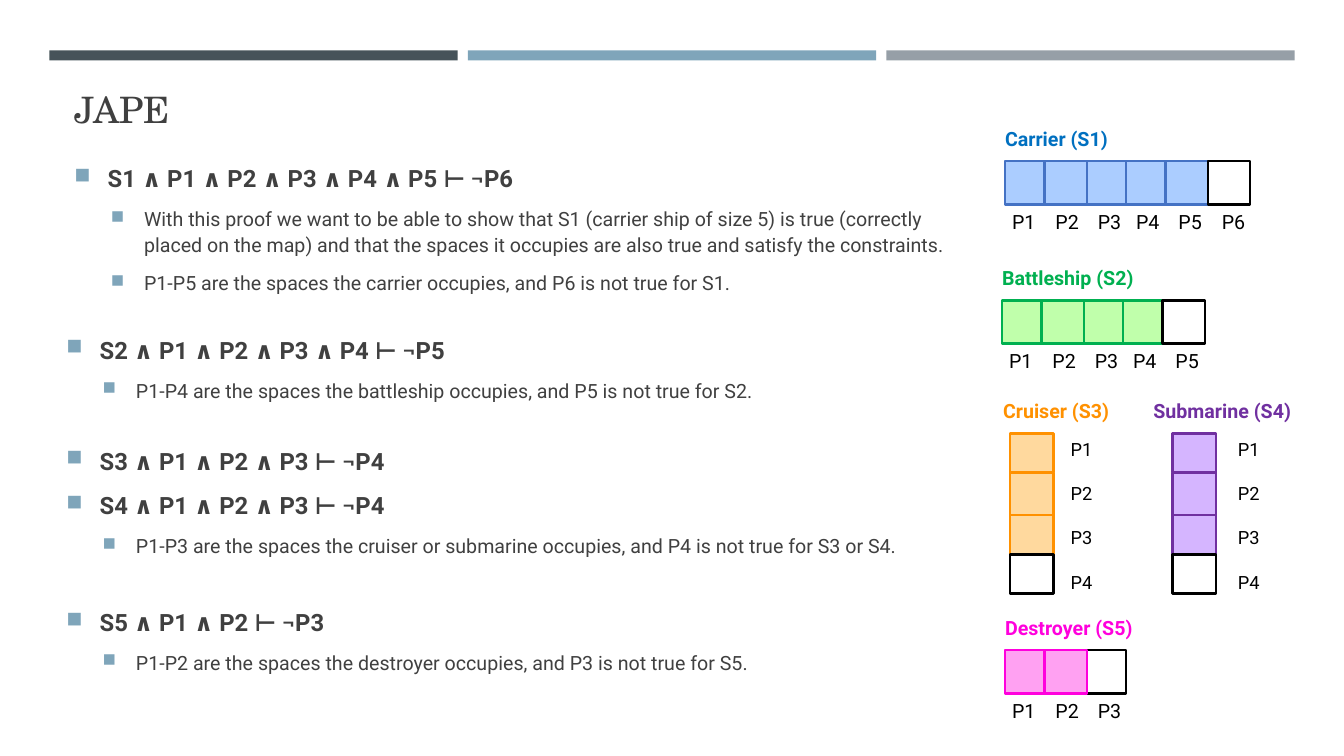
from lxml import etree
from pptx import Presentation
from pptx.dml.color import RGBColor
from pptx.enum import shapes, text
from pptx.oxml import ns
from pptx.util import Inches, Pt

BLACK = RGBColor(0, 0, 0)
INK = RGBColor(0x40, 0x40, 0x40)
SLATE = RGBColor(0x46, 0x53, 0x59)
STEEL = RGBColor(0x7F, 0xA5, 0xBA)
GREY = RGBColor(0x96, 0x9F, 0xA7)
BLUE = RGBColor(0x00, 0x70, 0xC0)
BLUE_LINE = RGBColor(0x44, 0x72, 0xC4)
BLUE_FILL = RGBColor(0x00, 0x6A, 0xFF)
GREEN = RGBColor(0x00, 0xB0, 0x50)
GREEN_FILL = RGBColor(0x40, 0xFF, 0x00)
ORANGE = RGBColor(0xFF, 0x91, 0x00)
ORANGE_FILL = RGBColor(0xFF, 0x9D, 0x00)
PURPLE = RGBColor(0x70, 0x30, 0xA0)
PURPLE_FILL = RGBColor(0x6F, 0x00, 0xFF)
PINK = RGBColor(0xFF, 0x00, 0xDD)

SLIDE_WIDTH = 13.33
CELL_LENGTHS = (0.39, 0.42, 0.39, 0.39, 0.42, 0.42)
CELL_BREADTH = 0.43
CELL_ORDER = (0, 2, 1, 3, 4, 5)  # the second cell lies over the third
LABEL_TABS = (0.43, 0.85, 1.23, 1.65, 2.08)


def add_child(parent, tag, **attributes):
    child = etree.SubElement(parent, ns.qn(tag))
    for name, value in attributes.items():
        child.set(name, str(value))
    return child


def add_box(page, left, top, width, height):
    box = page.shapes.add_textbox(Inches(left), Inches(top), Inches(width), Inches(height))
    box.text_frame.word_wrap = True
    return box.text_frame


def write(para, words, size=14, color=BLACK, bold=False, font="Roboto"):
    span = para.add_run()
    span.text = words
    span.font.name = font
    span.font.size = Pt(size)
    span.font.bold = bold
    span.font.color.rgb = color


def add_rect(page, left, top, width, height, fill=None, line=None, alpha=None):
    rect = page.shapes.add_shape(shapes.MSO_SHAPE.RECTANGLE, Inches(left), Inches(top),
                                 Inches(width), Inches(height))
    rect.shadow.inherit = False
    if fill is None:
        rect.fill.background()
    else:
        rect.fill.solid()
        rect.fill.fore_color.rgb = fill
    if alpha is not None:
        color = rect.fill._xPr.find(".//" + ns.qn("a:srgbClr"))
        add_child(color, "a:alpha", val=alpha * 1000)
    if line is None:
        rect.line.fill.background()
    else:
        rect.line.color.rgb = line
        rect.line.width = Pt(1.75)


def add_header(page, left, top):
    """Three coloured bars and the slide title."""
    for index, color in enumerate((SLATE, STEEL, GREY)):
        add_rect(page, left + 4.15 * index, top, 4.05, 0.1, fill=color)
    title = add_box(page, left + 0.15, top + 0.32, 12.06, 1.3)
    write(title.paragraphs[0], "JAPE", size=26, color=INK, font="TeX Gyre Schola")


def add_proof(page, left, top, height, formulas, notes):
    """Bold formulas followed by indented explanations."""
    frame = add_box(page, left, top, 8.89, height)
    lines = [(words, 17, True, 0.33) for words in formulas]
    lines += [(words, 14, False, 0.69) for words in notes]
    for index, (words, size, bold, indent) in enumerate(lines):
        para = frame.add_paragraph() if index else frame.paragraphs[0]
        para.line_spacing = 1.1
        para.space_before = Pt(0.2 * size if index else 0)
        para.space_after = Pt(6)
        # Square bullet with a hanging indent
        props = para._p.get_or_add_pPr()
        props.set("marL", str(Inches(indent)))
        props.set("indent", str(Inches(-0.33)))
        add_child(add_child(props, "a:buClr"), "a:srgbClr", val=STEEL)
        add_child(props, "a:buSzPct", val=92000)
        add_child(props, "a:buChar", char="■")
        write(para, words, size=size, color=INK, bold=bold)


def add_ship(page, left, top, name, size, color, fill, alpha, line=None,
             vertical=False, cell_shift=0.1, label_shift=0.67):
    """Ship name, its occupied cells, one free cell, and the cell labels."""
    heading = add_box(page, left, top, min(3, SLIDE_WIDTH - left), 0.34)
    write(heading.paragraphs[0], name, color=color, bold=True)

    for index in CELL_ORDER:
        if index > size:
            continue
        offset, length = sum(CELL_LENGTHS[:index]), CELL_LENGTHS[index]
        if vertical:
            place = (left + cell_shift, top + 0.39 + offset, CELL_BREADTH, length)
        else:
            place = (left + cell_shift, top + 0.39, length, CELL_BREADTH)
            place = (place[0] + offset,) + place[1:]
        if index < size:
            add_rect(page, *place, fill=fill, line=line or color, alpha=alpha)
        else:
            add_rect(page, *place, line=BLACK)

    labels = [f"P{number}" for number in range(1, size + 2)]
    if vertical:
        frame = add_box(page, left + label_shift, top + 0.39, 0.59, 1.85)
        for index, label in enumerate(labels):
            para = frame.add_paragraph() if index else frame.paragraphs[0]
            para.space_before = Pt(15.9 if index else 0)
            write(para, label, size=13)
    else:
        para = add_box(page, left + 0.07, top + 0.82, 3, 0.34).paragraphs[0]
        tabs = add_child(para._p.get_or_add_pPr(), "a:tabLst")
        for stop in LABEL_TABS[:size]:
            add_child(tabs, "a:tab", pos=Inches(stop), algn="l")
        write(para, "\t".join(labels))


def main():
    deck = Presentation()
    deck.slide_width, deck.slide_height = Inches(SLIDE_WIDTH), Inches(7.5)
    page = deck.slides.add_slide(deck.slide_layouts[6])
    add_header(page, 0.49, 0.5)

    # Proofs
    add_proof(page, 0.64, 1.55, 1.83, ["S1 ∧ P1 ∧ P2 ∧ P3 ∧ P4 ∧ P5 ⊢ ¬P6"], [
        "With this proof we want to be able to show that S1 (carrier ship of size 5) is true "
        "(correctly placed on the map) and that the spaces it occupies are also true and "
        "satisfy the constraints.",
        "P1-P5 are the spaces the carrier occupies, and P6 is not true for S1."])
    add_proof(page, 0.56, 3.25, 1.05, ["S2 ∧ P1 ∧ P2 ∧ P3 ∧ P4 ⊢ ¬P5"], [
        "P1-P4 are the spaces the battleship occupies, and P5 is not true for S2."])
    add_proof(page, 0.56, 4.35, 1.64,
              ["S3 ∧ P1 ∧ P2 ∧ P3 ⊢ ¬P4", "S4 ∧ P1 ∧ P2 ∧ P3 ⊢ ¬P4"], [
                  "P1-P3 are the spaces the cruiser or submarine occupies, "
                  "and P4 is not true for S3 or S4."])
    add_proof(page, 0.56, 5.95, 1.21, ["S5 ∧ P1 ∧ P2 ⊢ ¬P3"], [
        "P1-P2 are the spaces the destroyer occupies, and P3 is not true for S5."])

    # Ships
    add_ship(page, 9.87, 1.21, "Carrier (S1)", 5, BLUE, BLUE_FILL, 33, line=BLUE_LINE)
    add_ship(page, 9.84, 2.59, "Battleship (S2)", 4, GREEN, GREEN_FILL, 33)
    add_ship(page, 9.85, 3.91, "Cruiser (S3)", 3, ORANGE, ORANGE_FILL, 38,
             vertical=True, cell_shift=0.17)
    add_ship(page, 11.34, 3.91, "Submarine (S4)", 3, PURPLE, PURPLE_FILL, 29,
             vertical=True, cell_shift=0.29, label_shift=0.84)
    add_ship(page, 9.87, 6.06, "Destroyer (S5)", 2, PINK, PINK, 37)
    deck.save("out.pptx")


if __name__ == "__main__":
    main()
